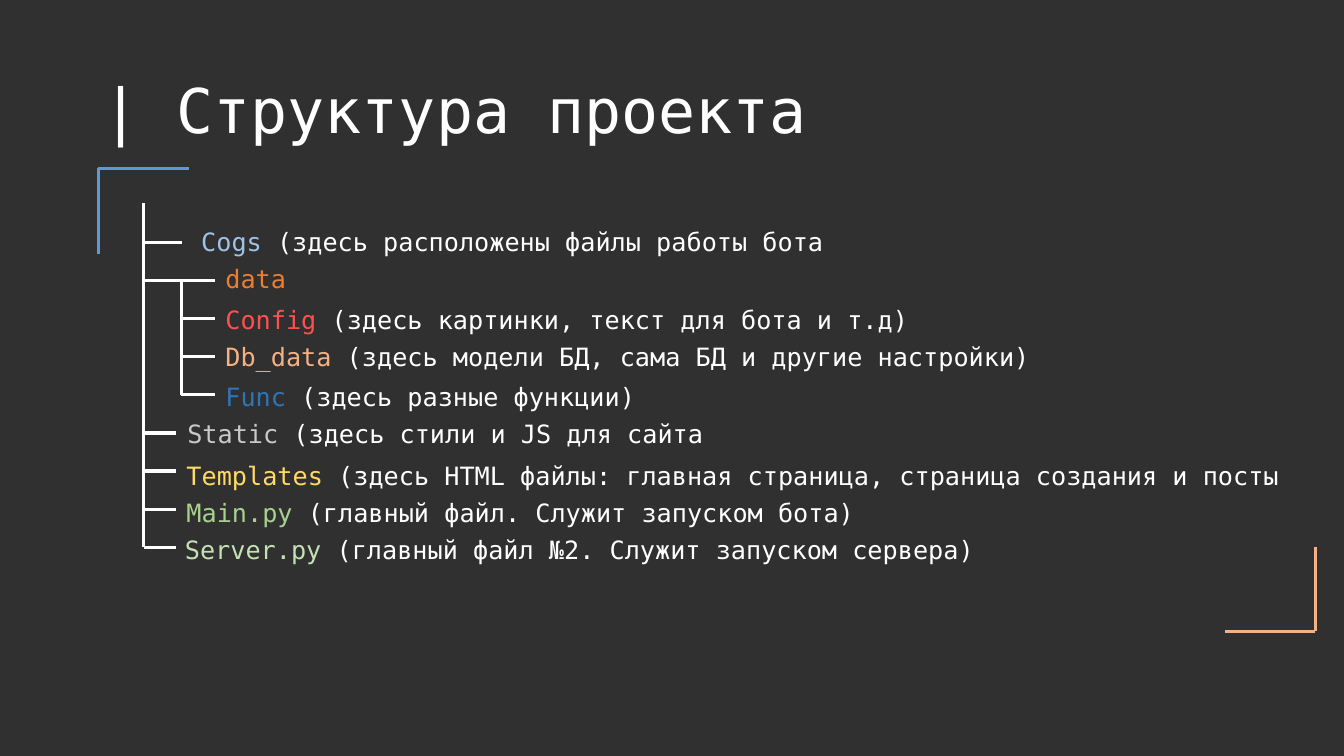
from itertools import pairwise

from pptx import Presentation
from pptx.dml.color import RGBColor
from pptx.enum.shapes import MSO_CONNECTOR
from pptx.enum.text import MSO_ANCHOR, MSO_AUTO_SIZE
from pptx.oxml.ns import qn
from pptx.util import Cm, Pt
from lxml import etree

STRAIGHT = MSO_CONNECTOR.STRAIGHT
MIDDLE = MSO_ANCHOR.MIDDLE
GROW = MSO_AUTO_SIZE.SHAPE_TO_FIT_TEXT
FONT = "DejaVu Sans Mono"
WHITE, BLUE, PEACH = "FFFFFF", "5B9BD5", "F4B183"

CHAR, PADDING = 0.383, 0.55  # width of one 18 pt character, side margins
FIRST, STEP = 0.99, 0.96     # first branch and distance between branches
SUB = 0.95                   # nested trunk, measured from the main trunk
MAIN_ROWS = (0, 5, 6, 7, 8)  # rows where the main trunk is divided
SUB_ROWS = (1, 2, 3, 4)      # rows spanned by the nested trunk

# name, note, colour, branch stops, text left, text top
ROWS = [
    ("Cogs", " (здесь расположены файлы работы бота", "9DC3E6", (0, 0.97), 1.2, 0.47),
    ("data", "", "ED7D31", (0, SUB, 1.81), 1.81, 1.4),
    ("Config", " (здесь картинки, текст для бота и т.д)", "FF5050", (SUB, 1.81), 1.81, 2.42),
    ("Db_data", " (здесь модели БД, сама БД и другие настройки)", PEACH, (SUB, 1.81), 1.81, 3.36),
    ("Func", " (здесь разные функции)", "2E75B6", (SUB, 1.81), 1.81, 4.37),
    ("Static", " (здесь стили и JS для сайта", "C9C9C9", (0, 0.82), 0.85, 5.3),
    ("Templates", " (здесь HTML файлы: главная страница, страница создания и посты",
     "FFD966", (0, 0.82), 0.83, 6.36),
    ("Main.py", " (главный файл. Служит запуском бота)", "A9D18E", (0, 0.82), 0.83, 7.28),
    ("Server.py", " (главный файл №2. Служит запуском сервера)", "C5E0B4", (0, 0.82), 0.79, 8.22),
]


def rgb(value):
    return RGBColor.from_string(value)


def add_line(s, x1, y1, x2, y2, color=WHITE):
    c = s.shapes.add_connector(STRAIGHT, Cm(x1), Cm(y1), Cm(x2), Cm(y2))
    c.line.color.rgb = rgb(color)
    c.line.width = Pt(2.25)
    etree.SubElement(c._element.spPr, qn("a:effectLst"))


def add_text(s, left, top, width, height, runs, size):
    """Add one line of text; runs are (text, colour) pairs."""
    tf = s.shapes.add_textbox(Cm(left), Cm(top), Cm(width), Cm(height)).text_frame
    p = tf.paragraphs[0]
    for text, color in runs:
        r = p.add_run()
        r.text = text
        r.font.name = FONT
        r.font.size = Pt(size)
        r.font.color.rgb = rgb(color)
    return tf


def add_title(s, left, top, width, height):
    tf = add_text(s, left, top, width, height, [("| Структура проекта", WHITE)], 44)
    tf.word_wrap = True
    tf.vertical_anchor = MIDDLE
    tf.paragraphs[0].line_spacing = 0.9


def add_corner(s, x, y, dx, dy, color):
    """Draw two arms of lengths dx and dy from the corner point."""
    add_line(s, x, y, x + dx, y, color)
    add_line(s, x, y, x, y + dy, color)


def add_trunk(s, x, stops):
    for y1, y2 in pairwise(stops):
        add_line(s, x, y1, x, y2)


def add_tree(s, left, top):
    # Main and nested trunks
    branches = [top + FIRST + i * STEP for i in range(len(ROWS))]
    add_trunk(s, left, [top] + [branches[i] for i in MAIN_ROWS])
    add_trunk(s, left + SUB, [branches[i] for i in SUB_ROWS])

    # Branches with their labels
    for y, (name, note, color, stops, text_left, text_top) in zip(branches, ROWS):
        for x1, x2 in pairwise(stops):
            add_line(s, left + x1, y, left + x2, y)
        runs = [(name, color)]
        if note:
            runs.append((note, WHITE))
        width = len(name + note) * CHAR + PADDING
        tf = add_text(s, left + text_left, top + text_top, width, 1.03, runs, 18)
        tf.word_wrap = False
        tf.auto_size = GROW


def main():
    prs = Presentation()
    prs.slide_width, prs.slide_height = Cm(33.87), Cm(19.05)
    s = prs.slides.add_slide(prs.slide_layouts[6])
    s.background.fill.solid()
    s.background.fill.fore_color.rgb = rgb("303030")

    add_title(s, 2.33, 1.01, 29.21, 3.68)
    add_tree(s, 3.62, 5.12)
    add_corner(s, 2.48, 4.24, 2.29, 2.16, BLUE)
    add_corner(s, 33.15, 15.91, -2.29, -2.13, PEACH)
    prs.save("out.pptx")


if __name__ == "__main__":
    main()
